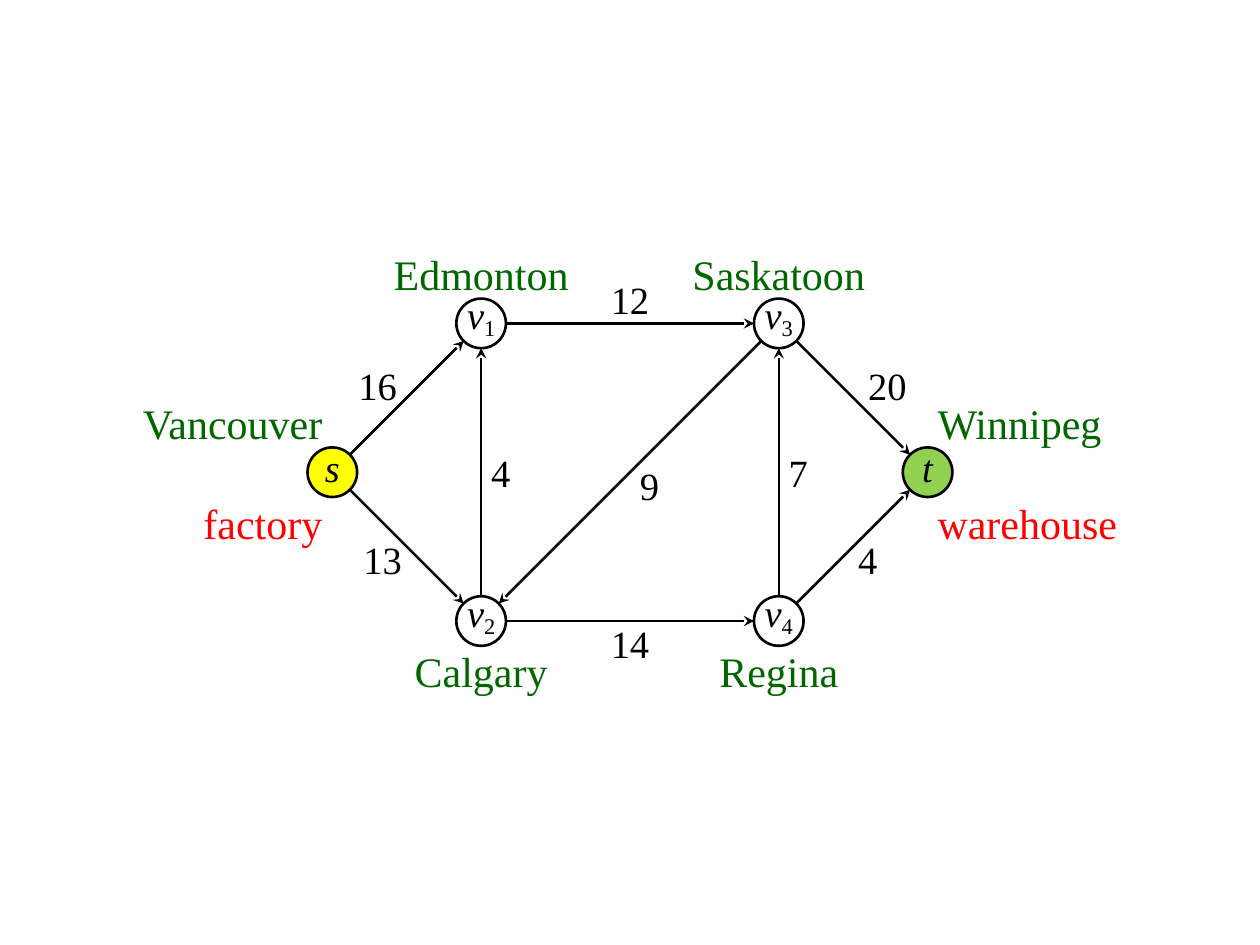
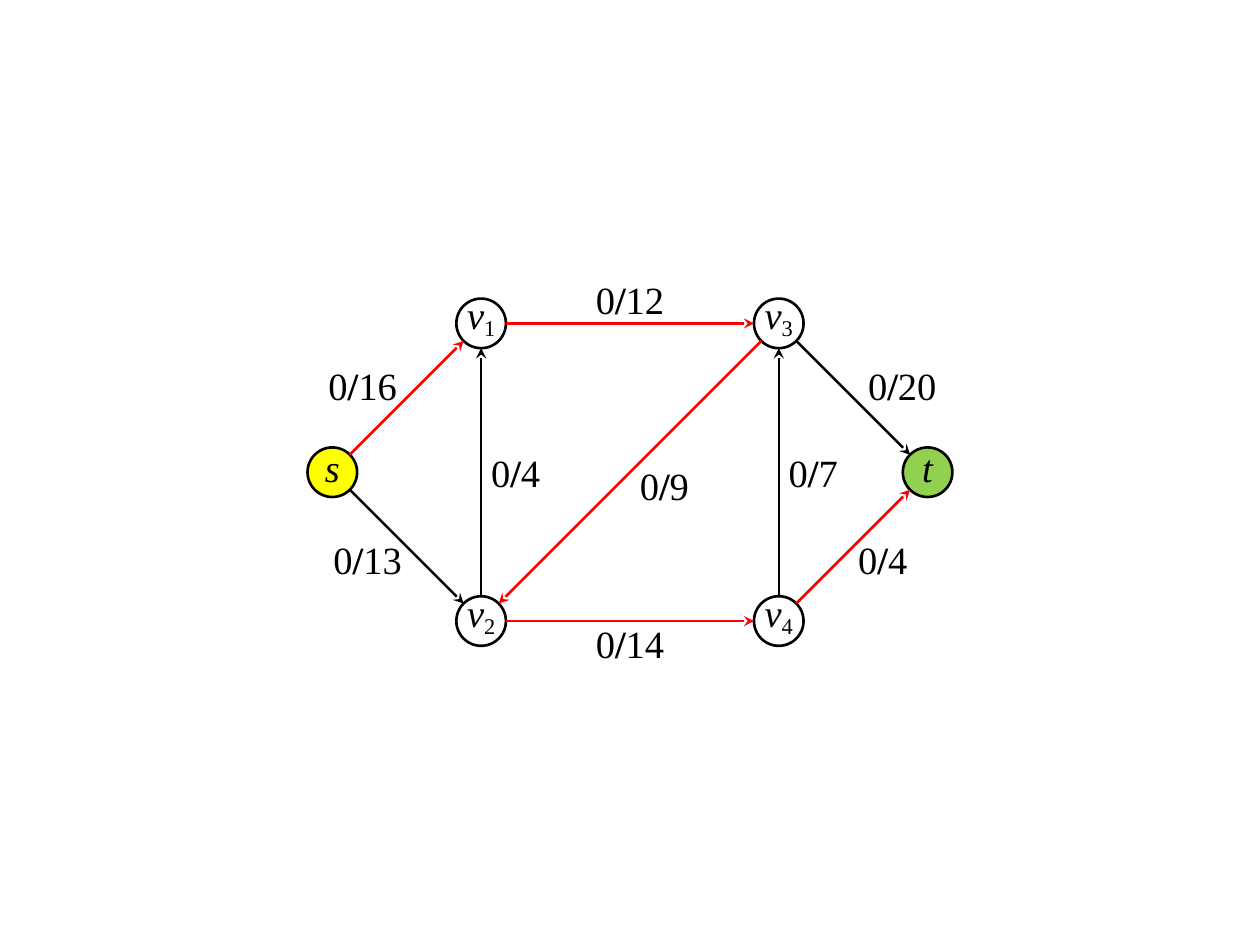
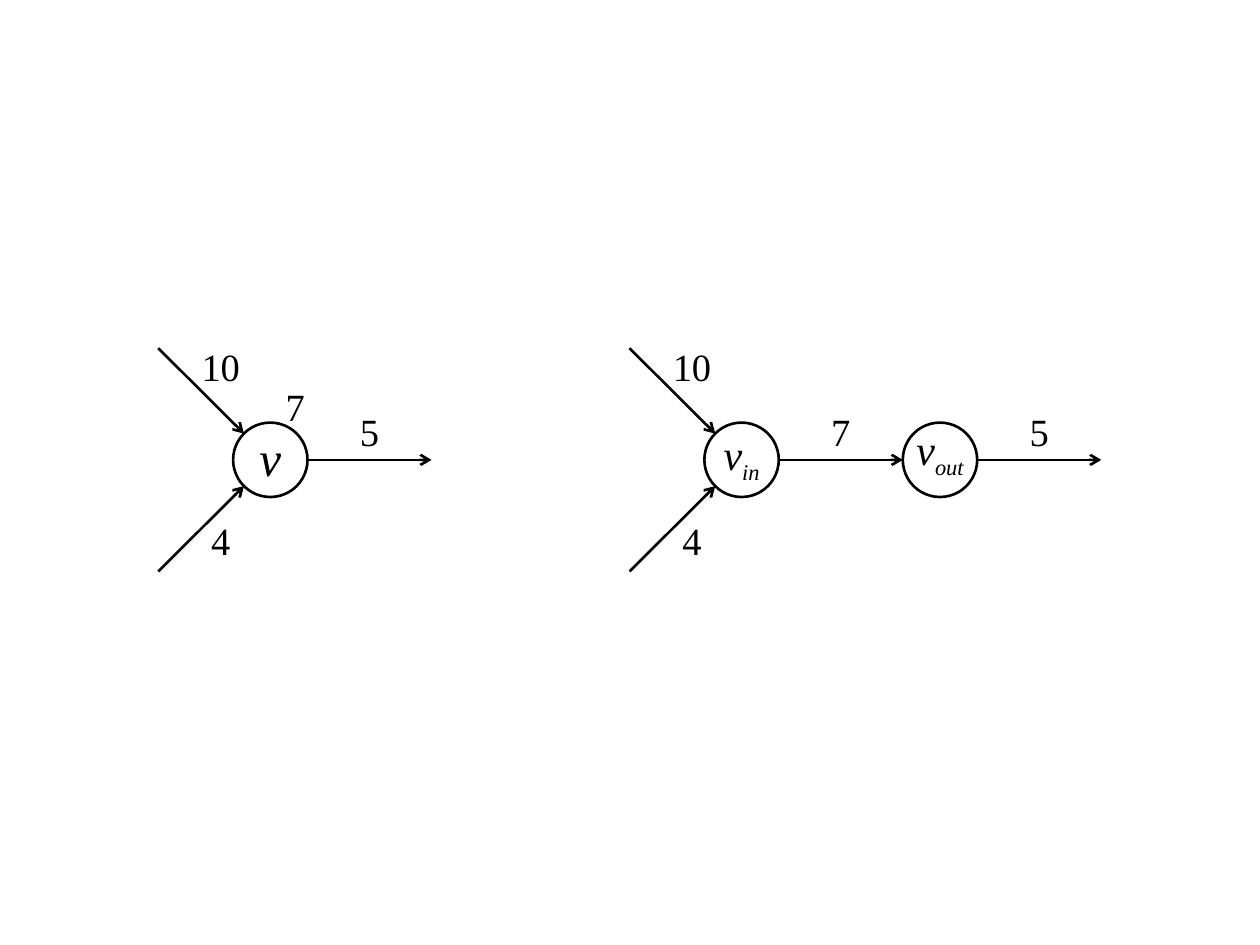
from dataclasses import dataclass, field
from math import hypot
from typing import Any, NamedTuple

from lxml.etree import SubElement
from pptx import Presentation
from pptx.dml.color import RGBColor
from pptx.enum.shapes import MSO_CONNECTOR as Connector, MSO_SHAPE as Preset
from pptx.enum.text import MSO_ANCHOR as Anchor, MSO_AUTO_SIZE as AutoSize, PP_ALIGN as Align
from pptx.oxml.ns import qn
from pptx.slide import Slide
from pptx.text.text import TextFrame
from pptx.util import Cm, Pt


@dataclass(frozen=True)
class Theme:
    font: str = "Times New Roman"
    ink: RGBColor = RGBColor(0, 0, 0)
    paper: RGBColor = RGBColor(255, 255, 255)
    city: RGBColor = RGBColor(0, 0x66, 0)
    accent: RGBColor = RGBColor(255, 0, 0)
    source: RGBColor = RGBColor(255, 255, 0)
    sink: RGBColor = RGBColor(0x92, 0xD0, 0x50)
    weight_size: Pt = Pt(22)
    name_size: Pt = Pt(24)
    vertex_size: Pt = Pt(28)
    stroke: Pt = Pt(1.5)


THEME = Theme()
NO_MARGINS = dict.fromkeys(("margin_left", "margin_top", "margin_right", "margin_bottom"), 0)
ITALIC = {"italic": True}


class Point(NamedTuple):
    """A place on the slide, in centimetres."""
    x: float
    y: float

    def shift(self, dx: float, dy: float) -> "Point":
        return Point(self.x + dx, self.y + dy)

    def toward(self, other: "Point", distance: float) -> "Point":
        ratio = distance / hypot(other.x - self.x, other.y - self.y)
        return self.shift((other.x - self.x) * ratio, (other.y - self.y) * ratio)


class Piece(NamedTuple):
    text: str
    font: dict[str, Any] = {}
    baseline: int = 0


@dataclass(frozen=True)
class Node:
    center: Point
    pieces: list[Piece]
    fill: RGBColor = THEME.paper
    radius: float = 0.5
    size: Pt = THEME.weight_size
    frame: dict[str, Any] = field(default_factory=lambda: {"vertical_anchor": Anchor.BOTTOM})


@dataclass(frozen=True)
class Label:
    """Text whose aligned edge, or middle, stands at anchor.x and whose top is anchor.y."""
    pieces: list[Piece]
    anchor: Point
    width: float
    height: float = 1
    align: Align = Align.CENTER
    size: Pt = THEME.weight_size
    color: RGBColor = THEME.ink
    frame: dict[str, Any] = field(default_factory=dict)
    paragraph: dict[str, Any] = field(default_factory=dict)


class Edge(NamedTuple):
    start: str
    end: str
    capacity: str
    offset: Point
    width: float
    height: float
    align: Align
    margin: dict[str, Any]
    on_route: bool = False


class Place(NamedTuple):
    name: str
    offset: Point
    width: float
    align: Align
    color: RGBColor = THEME.city


CENTER = Point(12.7, 9.52)
STEP = 3

NODES = {
    f"v{number}": Node(CENTER.shift(dx * STEP, dy * STEP),
                       [Piece("v", ITALIC), Piece(str(number), baseline=-18)])
    for number, (dx, dy) in enumerate([(-1, -1), (-1, 1), (1, -1), (1, 1)], 1)
}
NODES["s"] = Node(CENTER.shift(-2 * STEP, 0), [Piece("s", ITALIC)], THEME.source)
NODES["t"] = Node(CENTER.shift(2 * STEP, 0), [Piece("t", ITALIC)], THEME.sink,
                  frame={"vertical_anchor": Anchor.MIDDLE, "margin_bottom": Cm(0.2)})

EDGES = [
    Edge("s", "v1", "16", Point(-4.5, -2.5), 1.5, 1.5, Align.RIGHT, {"margin_right": Cm(0.2)}, True),
    Edge("v1", "v3", "12", Point(0, -4), 1, 1, Align.CENTER, {}, True),
    Edge("v3", "v2", "9", Point(0, -0.5), 1.5, 1.5, Align.LEFT, {"margin_left": Cm(0.2)}, True),
    Edge("v2", "v4", "14", Point(0, 3), 1, 1, Align.CENTER, {"margin_bottom": Cm(0.1)}, True),
    Edge("v2", "v1", "4", Point(-3, -0.5), 1, 1, Align.LEFT, {"margin_left": Cm(0.2)}),
    Edge("v3", "t", "20", Point(4.5, -2.5), 1.5, 1.5, Align.LEFT, {"margin_left": Cm(0.3)}),
    Edge("v4", "v3", "7", Point(3, -0.5), 1, 1, Align.LEFT, {"margin_left": Cm(0.2)}),
    Edge("s", "v2", "13", Point(-4.5, 1), 1.5, 1.5, Align.RIGHT, {"margin_right": Cm(0.1)}),
    Edge("v4", "t", "4", Point(4.5, 1), 1.5, 1.5, Align.LEFT, {"margin_left": Cm(0.1)}, True),
]

PLACES = [
    Place("Vancouver", Point(-6, -1.5), 4, Align.RIGHT),
    Place("Calgary", Point(-3, 3.5), 4, Align.CENTER),
    Place("Edmonton", Point(-3, -4.5), 4, Align.CENTER),
    Place("Regina", Point(3, 3.5), 3, Align.CENTER),
    Place("Saskatoon", Point(3, -4.5), 4, Align.CENTER),
    Place("Winnipeg", Point(6, -1.5), 4, Align.LEFT),
    Place("factory", Point(-6, 0.5), 3, Align.RIGHT, THEME.accent),
    Place("warehouse", Point(6, 0.5), 4, Align.LEFT, THEME.accent),
]
PLACE_MARGINS = {Align.RIGHT: {"margin_right": Cm(0.2)}, Align.LEFT: {"margin_left": Cm(0.2)},
                 Align.CENTER: {}}


def apply(target: Any, values: dict[str, Any]) -> None:
    for attribute, value in values.items():
        setattr(target, attribute, value)


def write(frame: TextFrame, pieces: list[Piece], size: Pt, color: RGBColor,
          frame_format: dict[str, Any], paragraph_format: dict[str, Any]) -> None:
    apply(frame, NO_MARGINS | frame_format)
    paragraph = frame.paragraphs[0]
    apply(paragraph, paragraph_format)
    for piece in pieces:
        run = paragraph.add_run()
        run.text = piece.text
        apply(run.font, {"name": THEME.font, "size": size} | piece.font)
        run.font.color.rgb = color
        if piece.baseline:
            run._r.get_or_add_rPr().set("baseline", str(piece.baseline * 1000))


def draw_node(slide: Slide, node: Node) -> None:
    corner = node.center.shift(-node.radius, -node.radius)
    diameter = Cm(2 * node.radius)
    circle = slide.shapes.add_shape(Preset.OVAL, Cm(corner.x), Cm(corner.y), diameter, diameter)
    circle.shadow.inherit = False
    circle.fill.solid()
    circle.fill.fore_color.rgb = node.fill
    circle.line.color.rgb = THEME.ink
    circle.line.width = THEME.stroke
    write(circle.text_frame, node.pieces, node.size, THEME.ink, node.frame,
          {"alignment": Align.CENTER})


def draw_label(slide: Slide, label: Label) -> None:
    share = {Align.LEFT: 0, Align.CENTER: 0.5, Align.RIGHT: 1}[label.align]
    box = slide.shapes.add_textbox(Cm(label.anchor.x - share * label.width), Cm(label.anchor.y),
                                   Cm(label.width), Cm(label.height))
    write(box.text_frame, label.pieces, label.size, label.color,
          {"word_wrap": False, "auto_size": AutoSize.NONE} | label.frame,
          {"alignment": label.align} | label.paragraph)


def draw_arrow(slide: Slide, start: Point, end: Point, head: str,
               color: RGBColor = THEME.ink) -> None:
    arrow = slide.shapes.add_connector(Connector.STRAIGHT, Cm(start.x), Cm(start.y),
                                       Cm(end.x), Cm(end.y))
    arrow.line.color.rgb = color
    arrow.line.width = THEME.stroke
    properties = arrow._element.spPr
    SubElement(properties.get_or_add_ln(), qn("a:tailEnd"), type=head)
    SubElement(properties, qn("a:effectLst"))


def draw_network(slide: Slide, with_flow: bool) -> None:
    """Draw the shipping network with capacities, or with flow/capacity and the route in red."""
    for edge in EDGES:
        pieces, width = [Piece(edge.capacity)], edge.width
        if with_flow:
            pieces = [Piece("0"), Piece("/", {"bold": True}), *pieces]
            width = 1 + len(edge.capacity) / 2
        draw_label(slide, Label(pieces, CENTER.shift(*edge.offset), width, edge.height, edge.align,
                                frame={"vertical_anchor": Anchor.MIDDLE} | edge.margin))
    for node in NODES.values():
        draw_node(slide, node)
    for edge in EDGES:
        start, end = NODES[edge.start], NODES[edge.end]
        draw_arrow(slide, start.center.toward(end.center, start.radius),
                   end.center.toward(start.center, end.radius), "stealth",
                   THEME.accent if with_flow and edge.on_route else THEME.ink)


def draw_places(slide: Slide) -> None:
    for place in PLACES:
        draw_label(slide, Label([Piece(place.name)], CENTER.shift(*place.offset), place.width,
                                align=place.align, size=THEME.name_size, color=place.color,
                                frame=PLACE_MARGINS[place.align]))


def draw_weight(slide: Slide, weight: str, vertex: Point, dx: float, dy: float,
                height: float = 1.5) -> None:
    """Put a weight beside a vertex; dx leads to its middle, dy to its top."""
    frame = {"word_wrap": True, "margin_bottom": Cm(0.13)}
    if height > 1:
        frame |= {"vertical_anchor": Anchor.MIDDLE, "margin_top": Cm(0.1)}
    draw_label(slide, Label([Piece(weight)], vertex.shift(dx, dy), 1.5, height, frame=frame,
                            paragraph={"line_spacing": 0.9, "space_before": Pt(10)}))


def draw_vertex_split(slide: Slide) -> None:
    """Show a vertex with a capacity, and the pair of vertices that replaces it."""
    radius, reach, out_length = 0.75, 2.25, 2.5
    whole = Point(5.45, 9.27)
    entry = whole.shift(9.5, 0)
    leaving = entry.shift(2 * radius + out_length, 0)
    middle = {"vertical_anchor": Anchor.MIDDLE, "margin_bottom": Cm(0.13)}
    low = middle | {"vertical_anchor": Anchor.BOTTOM}
    subscript = ITALIC | {"size": THEME.weight_size}

    draw_weight(slide, "7", whole, 0.5, -1.75)
    for vertex, weight in [(whole, "5"), (entry, "7"), (leaving, "5")]:
        draw_weight(slide, weight, vertex, 2, -1.25)
    for vertex in (whole, entry):
        draw_weight(slide, "10", vertex, -1, -2.25, height=1)
        draw_weight(slide, "4", vertex, -1, 1.25, height=1)

    for center, pieces, size, frame in [
        (whole, [Piece("v", ITALIC)], THEME.vertex_size, middle),
        (entry, [Piece("v", ITALIC), Piece("in", subscript, -25)], THEME.name_size, middle),
        (leaving, [Piece("v", ITALIC), Piece("out", subscript, -25)], THEME.name_size, low),
    ]:
        draw_node(slide, Node(center, pieces, radius=radius, size=size, frame=frame))
        rim = center.shift(radius, 0)
        draw_arrow(slide, rim, rim.shift(out_length, 0), "arrow")
    for vertex in (whole, entry):
        for side in (-1, 1):
            origin = vertex.shift(-reach - 0.01, side * reach)
            draw_arrow(slide, origin, vertex.toward(origin, radius), "arrow")


def main() -> None:
    deck = Presentation()
    deck.slide_width, deck.slide_height = Cm(25.4), Cm(19.05)
    capacities, flow, split = (deck.slides.add_slide(deck.slide_layouts[6]) for _ in range(3))
    draw_places(capacities)
    draw_network(capacities, with_flow=False)
    draw_network(flow, with_flow=True)
    draw_vertex_split(split)
    deck.save("out.pptx")


if __name__ == "__main__":
    main()
